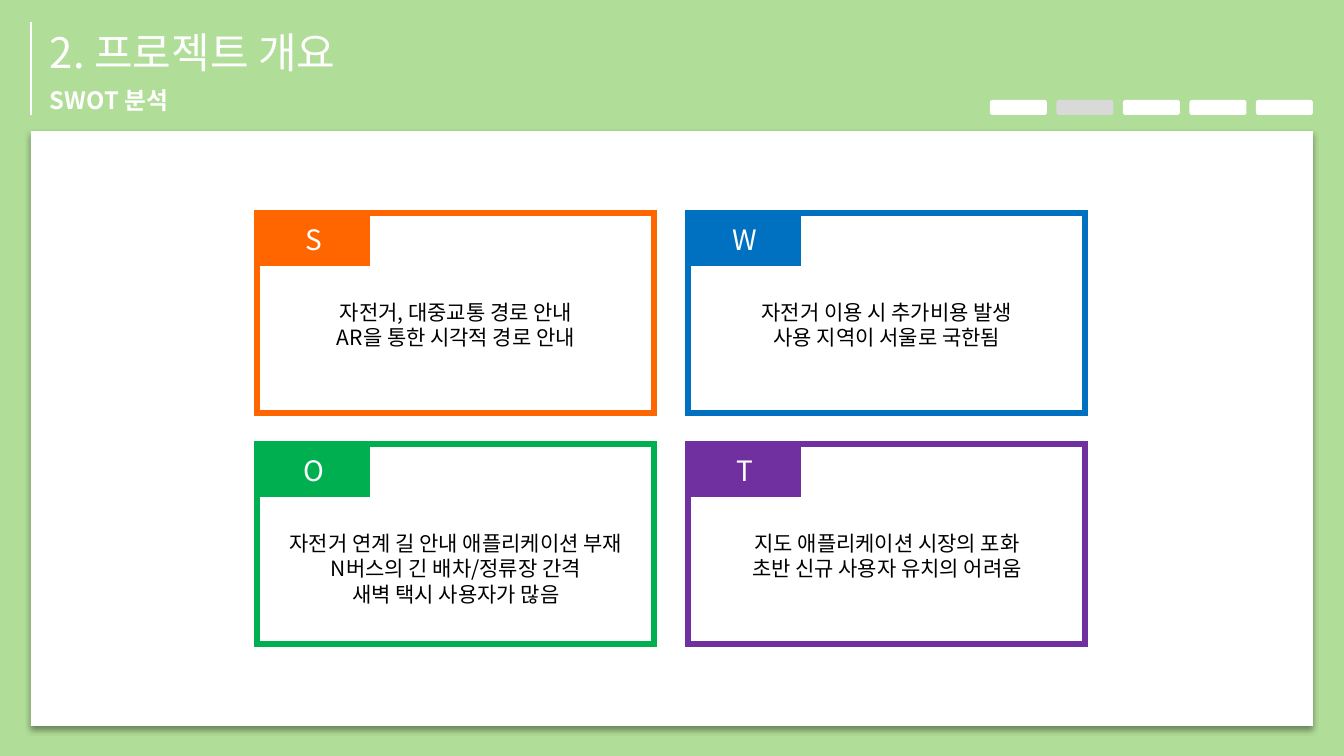
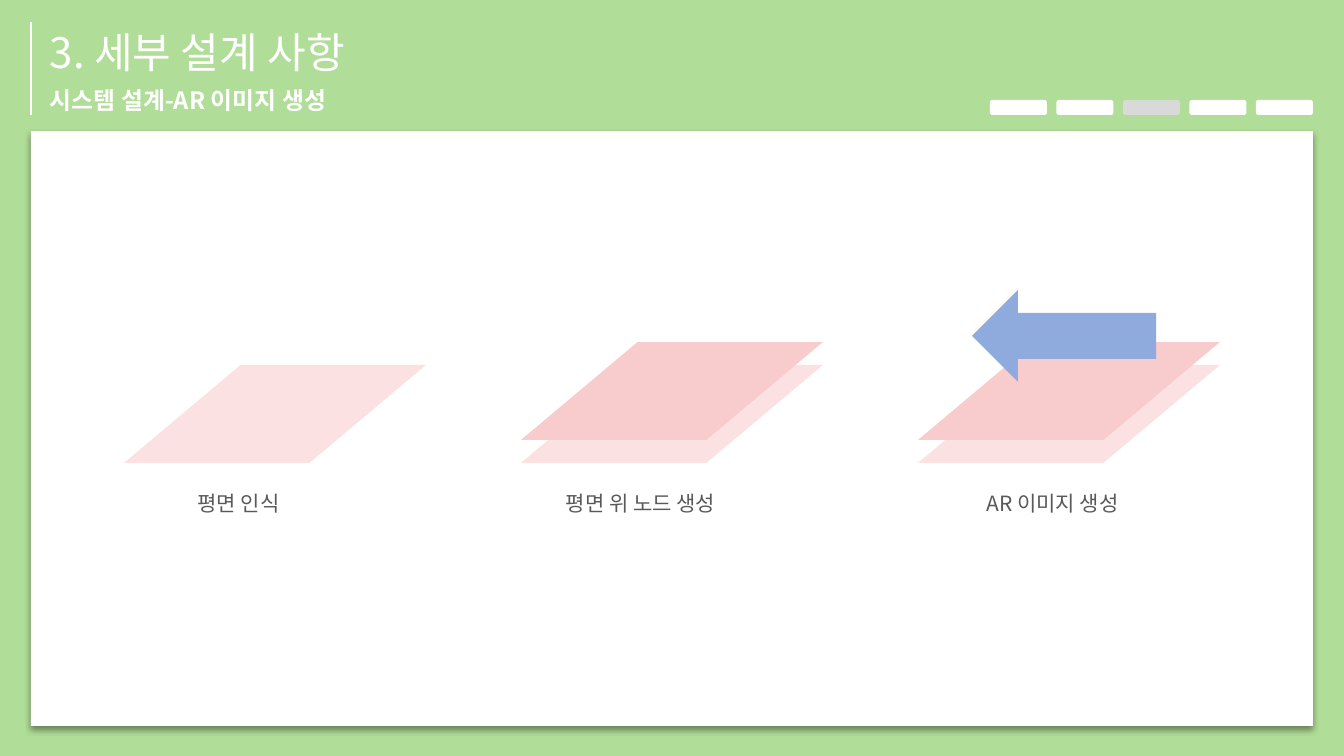
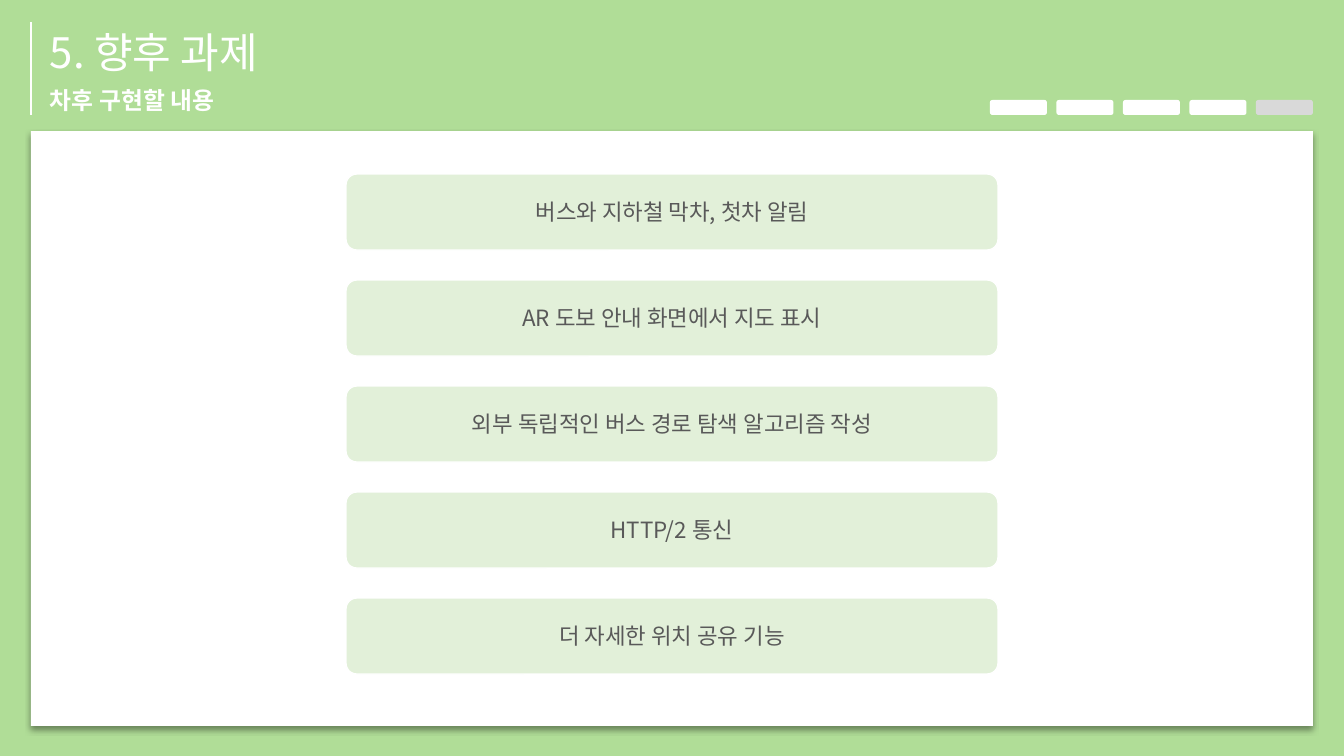
from lxml import etree
from pptx import Presentation, util as u
from pptx.dml.color import RGBColor
from pptx.enum import shapes, text
from pptx.oxml import parse_xml
from pptx.oxml.ns import qn

FONT = "Noto Sans CJK KR"
GREEN, WHITE, BLACK, GREY = "B0DD97", "FFFFFF", "000000", "595959"
TAB_ACTIVE, BAR_FILL = "D9D9D9", "E2F0D9"
PLANE, NODE, ARROW = "FBE1E1", "F8CCCC", "8FAADC"
TAB_COUNT = 5
DRAWING_NS = "http://schemas.openxmlformats.org/drawingml/2006/main"
SHADOW = (
    f'<a:effectLst xmlns:a="{DRAWING_NS}">'
    '<a:outerShdw blurRad="50800" dist="38100" dir="5400000" algn="t" rotWithShape="0">'
    '<a:srgbClr val="000000"><a:alpha val="40000"/></a:srgbClr>'
    "</a:outerShdw></a:effectLst>"
)

SWOT = [
    ("S", "FF6600", ["자전거, 대중교통 경로 안내", "AR을 통한 시각적 경로 안내"]),
    ("W", "0070C0", ["자전거 이용 시 추가비용 발생", "사용 지역이 서울로 국한됨"]),
    ("O", "00B050", ["자전거 연계 길 안내 애플리케이션 부재",
                     "N버스의 긴 배차/정류장 간격", "새벽 택시 사용자가 많음"]),
    ("T", "7030A0", ["지도 애플리케이션 시장의 포화", "초반 신규 사용자 유치의 어려움"]),
]
AR_STEPS = [  # label, label left, planes from back to front
    ("평면 인식", 137, [PLANE]),
    ("평면 위 노드 생성", 539, [PLANE, NODE]),
    ("AR 이미지 생성", 951, [PLANE, NODE]),
]
FUTURE_TASKS = [
    "버스와 지하철 막차, 첫차 알림",
    "AR 도보 안내 화면에서 지도 표시",
    "외부 독립적인 버스 경로 탐색 알고리즘 작성",
    "HTTP/2 통신",
    "더 자세한 위치 공유 기능",
]


def px(n):
    return u.Emu(round(n * 914400 / 100.8))


def rgb(code):
    return RGBColor.from_string(code)


def write(sp, lines, size, color, bold=False, align=text.PP_ALIGN.CENTER,
          anchor=text.MSO_ANCHOR.MIDDLE):
    tf = sp.text_frame
    tf.word_wrap = True
    tf.vertical_anchor = anchor
    for i, line in enumerate(lines):
        p = tf.add_paragraph() if i else tf.paragraphs[0]
        p.alignment = align
        r = p.add_run()
        r.text = line
        for name, value in {"size": u.Pt(size), "bold": bold, "name": FONT}.items():
            setattr(r.font, name, value)
        r.font.color.rgb = rgb(color)
        east_asian = etree.SubElement(r.font._element, qn("a:ea"))
        east_asian.set("typeface", FONT)


def add_box(s, kind, box, fill=None, line=None, width=1, adj=None):
    sp = s.shapes.add_shape(kind, *map(px, box))
    sp.shadow.inherit = False
    if fill:
        sp.fill.solid()
        sp.fill.fore_color.rgb = rgb(fill)
    else:
        sp.fill.background()
    if line:
        sp.line.color.rgb = rgb(line)
        sp.line.width = u.Pt(width)
        corner = etree.SubElement(sp._element.spPr.find(qn("a:ln")), qn("a:miter"))
        corner.set("lim", "800000")
    else:
        sp.line.fill.background()
    if adj is not None:
        sp.adjustments[0] = adj
    return sp


def add_text(s, box, lines, size, color, **style):
    sp = s.shapes.add_textbox(*map(px, box))
    write(sp, lines, size, color, **style)
    sp.text_frame.auto_size = text.MSO_AUTO_SIZE.SHAPE_TO_FIT_TEXT


def add_slide(prs, chapter, title, subtitle):
    """Add a slide with panel, headings and chapter tabs."""
    s = prs.slides.add_slide(prs.slide_layouts[6])
    s.background.fill.solid()
    s.background.fill.fore_color.rgb = rgb(GREEN)

    panel = add_box(s, shapes.MSO_SHAPE.RECTANGLE, (31, 131, 1282, 595), WHITE)
    effects = panel._element.spPr.find(qn("a:effectLst"))
    effects.getparent().replace(effects, parse_xml(SHADOW))

    heading = {"align": text.PP_ALIGN.LEFT, "anchor": text.MSO_ANCHOR.TOP}
    add_text(s, (40, 22, 1273, 61), [f"{chapter}. {title}"], 30, WHITE, **heading)
    add_text(s, (40, 81, 1304, 39), [subtitle], 17, WHITE, bold=True, **heading)

    rule = s.shapes.add_connector(shapes.MSO_CONNECTOR.STRAIGHT,
                                  *map(px, (31, 22, 31, 115)))
    rule.line.color.rgb = rgb(WHITE)
    rule.line.width = u.Pt(1.5)
    etree.SubElement(rule._element.spPr, qn("a:effectLst"))

    left, right, width = 990, 1313, 57
    step = (right - left - width) / (TAB_COUNT - 1)
    for i in range(TAB_COUNT):
        add_box(s, shapes.MSO_SHAPE.ROUNDED_RECTANGLE, (left + i * step, 100, width, 15),
                TAB_ACTIVE if i + 1 == chapter else WHITE)
    return s


def add_swot(s):
    rect = shapes.MSO_SHAPE.RECTANGLE
    for i, (letter, color, lines) in enumerate(SWOT):
        row, col = divmod(i, 2)
        x, y = 257 + col * 431, 213 + row * 231
        add_box(s, rect, (x, y, 397, 200), line=color, width=4.5)
        tag = add_box(s, rect, (x, y, 113, 53), color)
        write(tag, [letter], 20, WHITE)
        add_text(s, (x, y + 81, 398, 12 + 25 * len(lines)), lines, 15, BLACK)


def add_ar_steps(s):
    for i, (label, label_x, planes) in enumerate(AR_STEPS):
        for level, color in enumerate(planes):
            add_box(s, shapes.MSO_SHAPE.PARALLELOGRAM,
                    (124 + i * 397, 365 - level * 23, 302, 98), color, adj=1.19)
        add_text(s, (label_x, 486, 203, 35), [label], 15, GREY,
                 anchor=text.MSO_ANCHOR.TOP)
    add_box(s, shapes.MSO_SHAPE.LEFT_ARROW, (972, 290, 184, 92), ARROW)


def add_future_tasks(s):
    for i, task in enumerate(FUTURE_TASKS):
        bar = add_box(s, shapes.MSO_SHAPE.ROUNDED_RECTANGLE,
                      (346, 174 + i * 106, 652, 76), BAR_FILL, WHITE, adj=0.14)
        write(bar, [task], 16, GREY)


SLIDES = [
    (2, "프로젝트 개요", "SWOT 분석", add_swot),
    (3, "세부 설계 사항", "시스템 설계-AR 이미지 생성", add_ar_steps),
    (5, "향후 과제", "차후 구현할 내용", add_future_tasks),
]


def main():
    prs = Presentation()
    prs.slide_width, prs.slide_height = px(1344), px(756)
    for chapter, title, subtitle, add_body in SLIDES:
        add_body(add_slide(prs, chapter, title, subtitle))
    prs.save("out.pptx")


if __name__ == "__main__":
    main()
